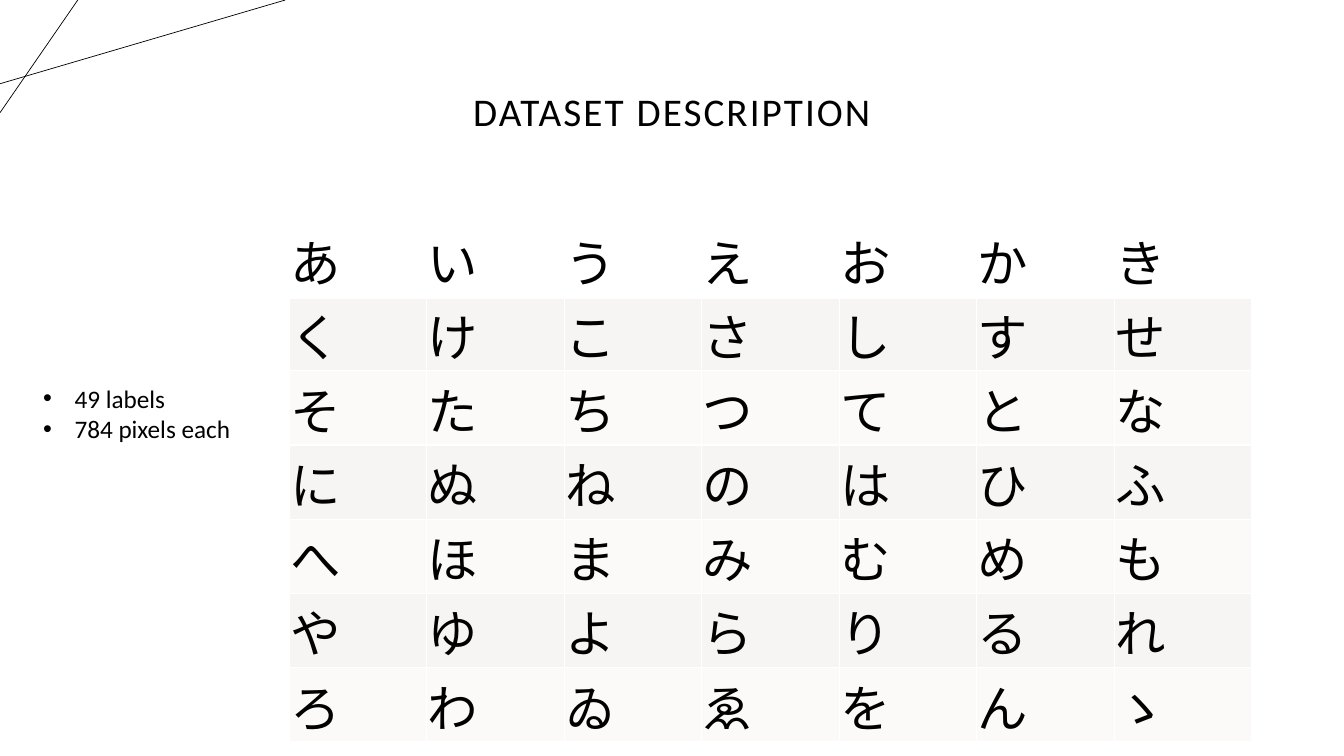
from lxml.etree import SubElement as Sub
from pptx import Presentation
from pptx.dml.color import RGBColor
from pptx.enum.text import MSO_ANCHOR as Anchor, PP_ALIGN as Align
from pptx.oxml import parse_xml
from pptx.oxml.ns import nsdecls, qn
from pptx.util import Cm, Pt

TITLE = "DATASET DESCRIPTION"
FACTS = ["49 labels", "784 pixels each"]
KANA = [
    "あいうえおかき",
    "くけこさしすせ",
    "そたちつてとな",
    "にぬねのはひふ",
    "へほまみむめも",
    "やゆよらりるれ",
    "ろわゐゑをんゝ",
]
LINES = [((0, 2.11), (7.19, 0)), ((1.96, 0), (0, 2.84))]

FONT = "Calibri"
BLACK = RGBColor(0, 0, 0)
WHITE = RGBColor(0xFF, 0xFF, 0xFF)
BANDS = [RGBColor(0xFB, 0xFA, 0xF9), RGBColor(0xF7, 0xF5, 0xF3)]

LEFT, TOP, WIDE, HIGH = 7.29, 5.61, 24.26, 11.51
PAD = Cm(0.03)
INDENT = Cm(0.79)


def add_run(para, text, size):
    run = para.add_run()
    run.text = text
    run.font.name = FONT
    run.font.size = Pt(size)
    run.font.color.rgb = BLACK
    return run


def add_edges(cell, base):
    props = cell._tc.get_or_add_tcPr()
    widths = {"lnL": 1, "lnR": 1, "lnT": 1, "lnB": base}
    for spot, (tag, width) in enumerate(widths.items()):
        props.insert(spot, parse_xml(
            f'<a:{tag} {nsdecls("a")} w="{Pt(width)}"><a:solidFill>'
            f'<a:srgbClr val="{WHITE}"/></a:solidFill></a:{tag}>'))


deck = Presentation()
deck.slide_width, deck.slide_height = Cm(33.87), Cm(19.05)
slide = deck.slides.add_slide(deck.slide_layouts[5])
shapes = slide.shapes

for start, end in LINES:
    line = shapes.add_connector(1, *map(Cm, start + end))
    line.line.color.rgb = BLACK
    line.line.width = Pt(0.5)
    Sub(line._element.spPr, qn("a:effectLst"))

title = shapes.title
title.left, title.top = Cm(2.33), Cm(1.02)
title.width, title.height = Cm(29.21), Cm(3.68)
title.text_frame.vertical_anchor = Anchor.MIDDLE
head = title.text_frame.paragraphs[0]
head.alignment = Align.CENTER
head.line_spacing = 0.9
run = add_run(head, TITLE, 28)
run.font._element.set("spc", "150")

frame = shapes.add_table(len(KANA), len(KANA[0]),
                         Cm(LEFT), Cm(TOP), Cm(WIDE), Cm(HIGH))
table = frame.table
table.first_row = table.horz_banding = False
for r, signs in enumerate(KANA):
    for c, sign in enumerate(signs):
        cell = table.cell(r, c)
        cell.fill.solid()
        cell.fill.fore_color.rgb = BANDS[r % 2] if r else WHITE
        cell.vertical_anchor = Anchor.BOTTOM
        cell.margin_left = cell.margin_right = cell.margin_top = PAD
        cell.margin_bottom = 0
        add_edges(cell, 1 if r else 3)
        add_run(cell.text_frame.paragraphs[0], sign, 36)

box = shapes.add_textbox(Cm(0.84), Cm(9.53), Cm(5.77), Cm(1.8))
text = box.text_frame
text.word_wrap = True
for i, fact in enumerate(FACTS):
    para = text.add_paragraph() if i else text.paragraphs[0]
    props = para._p.get_or_add_pPr()
    props.set("marL", str(INDENT))
    props.set("indent", str(-INDENT))
    Sub(props, qn("a:buFont"), typeface="Arial")
    Sub(props, qn("a:buChar"), char="•")
    add_run(para, fact, 18)

deck.save("out.pptx")
